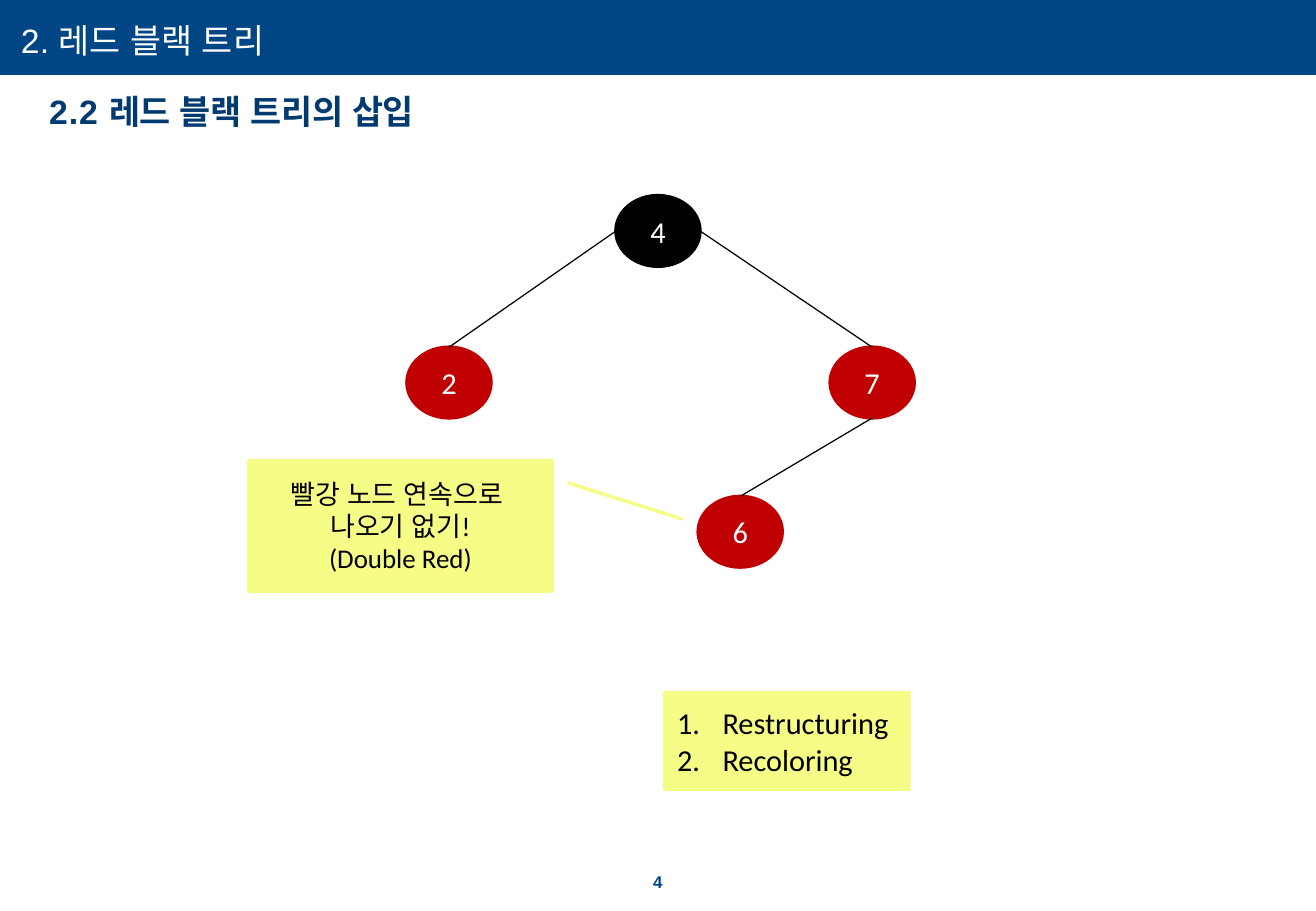
from lxml import etree
from pptx import Presentation
from pptx.dml import color
from pptx.enum import shapes as es, text as et
from pptx.oxml import ns
from pptx.util import Cm, Pt

NAVY, DEEP, RED, PALE = "004685", "003A70", "C00000", "F5FD87"
BLACK, WHITE = "000000", "FFFFFF"
KIND = es.MSO_SHAPE


def rgb(code):
    """Turn a hex string into a colour."""
    return color.RGBColor.from_string(code)


def style(para, size, hue, face="Calibri", bold=False, gaps=()):
    """Format every run of a paragraph, with letter gaps in points."""
    for run in para.runs:
        run.font.size, run.font.name, run.font.bold = Pt(size), face, bold
        run.font.color.rgb = rgb(hue)
        etree.SubElement(run.font._element, ns.qn("a:ea"), typeface="Arial")
    for run, gap in zip(para.runs, gaps):
        run.font._element.set("spc", str(round(gap * 100)))


def label(slide, box, parts, size, hue, bold=False, gaps=(), inset=0.03):
    """Place one line of text without margins."""
    area = slide.shapes.add_textbox(*map(Cm, box))
    frame = area.text_frame
    frame.word_wrap = True
    frame.margin_left = frame.margin_right = 0
    frame.margin_top = frame.margin_bottom = 0
    para = frame.paragraphs[0]
    para._p.get_or_add_pPr().set("marL", str(Cm(inset)))
    for part in parts:
        para.add_run().text = part
    style(para, size, hue, "Arial", bold, gaps)
    return para


def block(slide, kind, box, lines, size, fill, hue):
    """Place a filled shape with centred lines."""
    shape = slide.shapes.add_shape(kind, *map(Cm, box))
    shape.shadow.inherit = False
    shape.fill.solid()
    shape.fill.fore_color.rgb = shape.line.color.rgb = rgb(fill)
    shape.line.width = Pt(2)
    frame = shape.text_frame
    frame.text = "\n".join(lines)
    frame.word_wrap = True
    frame.vertical_anchor = et.MSO_ANCHOR.MIDDLE
    for para in frame.paragraphs:
        para.alignment = et.PP_ALIGN.CENTER
        style(para, size, hue)
    return shape


def edge(slide, start, end):
    """Draw a thin black line between two points."""
    line = slide.shapes.add_connector(es.MSO_CONNECTOR.STRAIGHT, *start, *end)
    line.line.color.rgb = rgb(BLACK)
    line.line.width = Pt(0.75)
    etree.SubElement(line._element.spPr, ns.qn("a:effectLst"))


def header(slide, box):
    """Draw the title bar and the section heading under it."""
    x, y, w, h = box
    block(slide, KIND.RECTANGLE, box, [], 20, NAVY, WHITE).line.fill.background()
    label(slide, (x + 0.41, y + 0.42, 13.64, 0.86), ["2. 레드 블랙 트리"], 20, WHITE)
    label(slide, (x + 1, y + h + 0.32, 16.8, 0.86),
          ["2.2 ", "레드 블랙 트리의 삽입"], 20, DEEP, True, (0.5, -0.2))


def tree(slide, box):
    """Draw the nodes in the box and join them."""
    x, y, w, h = box
    wide, high = 1.76, 1.48
    left, right, low = x, x + w - wide, y + 3.17
    spots = {"4": (x + 4.37, y, BLACK), "2": (left, low, RED),
             "7": (right, low, RED), "6": (x + 6.09, y + h - high, RED)}
    node = {key: block(slide, KIND.OVAL, (a, b, wide, high), [key], 18, hue, WHITE)
            for key, (a, b, hue) in spots.items()}

    def port(key, fx, fy):
        """Give a point of a node by its fractions."""
        n = node[key]
        return int(n.left + n.width * fx), int(n.top + n.height * fy)

    edge(slide, port("4", 0, 0.5), port("2", 0.5, 0))
    edge(slide, port("7", 0.5, 1), port("6", 0.5, 0))
    edge(slide, port("4", 1, 0.5), port("7", 0.5, 0))


def callout(slide, box):
    """Place the warning with its pointer."""
    lines = ["빨강 노드 연속으로 ", "나오기 없기!", "(Double Red)"]
    shape = block(slide, KIND.LINE_CALLOUT_1, box, lines, 16, PALE, BLACK)
    for i, part in enumerate((0.17, 1.05, 0.45, 1.43)):
        shape.adjustments[i] = part


def steps(slide, box):
    """Place the numbered remedies."""
    shape = block(slide, KIND.FLOWCHART_PROCESS, box,
                  ["Restructuring", "Recoloring"], 18, PALE, BLACK)
    for para in shape.text_frame.paragraphs:
        para.alignment = et.PP_ALIGN.LEFT
        props = para._p.get_or_add_pPr()
        props.set("marL", str(Cm(0.95)))
        props.set("indent", str(-Cm(0.95)))
        etree.SubElement(props, ns.qn("a:buFont"), typeface="+mj-lt")
        etree.SubElement(props, ns.qn("a:buAutoNum"), type="arabicPeriod")


def footer(slide, box):
    """Place the page number."""
    para = label(slide, box, ["4"], 10, NAVY, True, (0.5,), 0.18)
    para.line_spacing = Pt(10.9)


def main():
    """Build and save the slide."""
    deck = Presentation()
    deck.slide_width, deck.slide_height = Cm(27.52), Cm(19.05)
    slide = deck.slides.add_slide(deck.slide_layouts[6])
    header(slide, (0, 0, 27.52, 1.57))
    footer(slide, (13.48, 18.27, 0.56, 0.39))
    tree(slide, (8.51, 4.09, 10.61, 7.77))
    callout(slide, (5.2, 9.63, 6.35, 2.73))
    steps(slide, (13.91, 14.48, 5.1, 2.02))
    deck.save("out.pptx")


if __name__ == "__main__":
    main()
